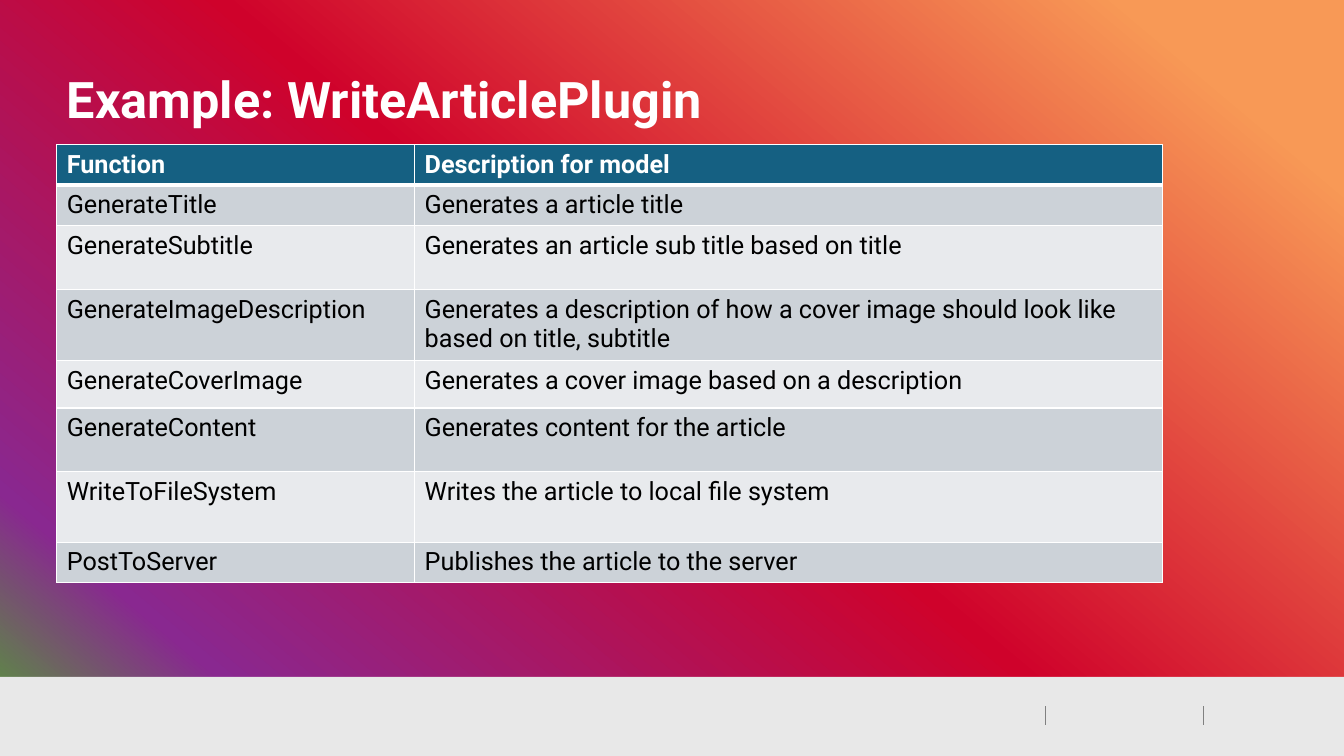
from copy import deepcopy

from lxml.etree import SubElement
from pptx import Presentation
from pptx.dml.color import RGBColor
from pptx.enum.shapes import MSO_CONNECTOR, MSO_SHAPE
from pptx.enum.text import MSO_ANCHOR, MSO_AUTO_SIZE, PP_ALIGN
from pptx.oxml.ns import qn
from pptx.util import Cm, Pt

WHITE = RGBColor(0xFF, 0xFF, 0xFF)
BLACK = RGBColor(0x00, 0x00, 0x00)
HEADER = RGBColor(0x15, 0x60, 0x82)
BAND_DARK = RGBColor(0xCC, 0xD2, 0xD8)
BAND_LIGHT = RGBColor(0xE8, 0xEA, 0xED)
FOOTER = RGBColor(0xE8, 0xE8, 0xE8)
DIVIDER = RGBColor(0x80, 0x80, 0x80)
GRADIENT = [
    (0, RGBColor(0x4E, 0xA7, 0x2E)),
    (0.14, RGBColor(0x89, 0x28, 0x90)),
    (0.5, RGBColor(0xCF, 0x02, 0x2B)),
    (0.9, RGBColor(0xF8, 0x99, 0x56)),
]
FONT = "Roboto"

FUNCTIONS = [
    ("Function", "Description for model", 1.02),
    ("GenerateTitle", "Generates a article title", 1.02),
    ("GenerateSubtitle", "Generates an article sub title based on title", 1.61),
    ("GenerateImageDescription",
     "Generates a description of how a cover image should look like "
     "based on title, subtitle", 1.79),
    ("GenerateCoverImage", "Generates a cover image based on a description", 1.19),
    ("GenerateContent", "Generates content for the article", 1.61),
    ("WriteToFileSystem", "Writes the article to local file system", 1.77),
    ("PostToServer", "Publishes the article to the server", 1.02),
]


def write(tf, text, size=18, color=BLACK, bold=False):
    """Put one formatted, left-aligned line of text in a frame."""
    p = tf.paragraphs[0]
    p.alignment = PP_ALIGN.LEFT
    r = p.add_run()
    r.text = text
    r.font.name = FONT
    r.font.size = Pt(size)
    r.font.bold = bold
    r.font.color.rgb = color


def set_background(s):
    """Fill the slide with the diagonal four-colour gradient."""
    fill = s.background.fill
    fill.gradient()
    fill.gradient_angle = 50
    stops = next(s.element.iter(qn("a:gsLst")))
    while len(stops) < len(GRADIENT):
        stops.append(deepcopy(stops[0]))
    for stop, (position, color) in zip(fill.gradient_stops, GRADIENT):
        stop.position = position
        stop.color.rgb = color


def add_footer(s, left, top, width, height):
    """Draw the footer band with its two dividers."""
    sp = s.shapes.add_shape(MSO_SHAPE.RECTANGLE, left, top, width, height)
    sp.shadow.inherit = False
    sp.fill.solid()
    sp.fill.fore_color.rgb = FOOTER
    sp.line.fill.background()
    for offset in (26.34, 30.33):
        x = left + Cm(offset)
        line = s.shapes.add_connector(
            MSO_CONNECTOR.STRAIGHT, x, top + Cm(0.74), x, top + Cm(1.22))
        line.line.color.rgb = DIVIDER
        line.line.width = Pt(1)
        SubElement(line.element.spPr, qn("a:effectLst"))


def set_title(s, text, left, top, width, height):
    """Move and format the title placeholder."""
    sp = s.shapes.title
    sp.left, sp.top, sp.width, sp.height = left, top, width, height
    tf = sp.text_frame
    tf.word_wrap = False
    tf.auto_size = MSO_AUTO_SIZE.NONE
    tf.vertical_anchor = MSO_ANCHOR.TOP
    tf.margin_top = Cm(0.22)
    write(tf, text, size=36, color=WHITE, bold=True)


def set_borders(cell, **widths):
    """Give a cell white borders, with a width in points for each side."""
    tcPr = cell._tc.get_or_add_tcPr()
    for i, (side, width) in enumerate(widths.items()):
        ln = tcPr.makeelement(qn(f"a:ln{side}"), {"w": str(Pt(width))})
        fill = SubElement(ln, qn("a:solidFill"))
        SubElement(fill, qn("a:srgbClr"), val=str(WHITE))
        tcPr.insert(i, ln)


def add_function_table(s, left, top, col_widths):
    """Add the banded table of plugin functions."""
    height = Cm(sum(row[-1] for row in FUNCTIONS))
    table = s.shapes.add_table(
        len(FUNCTIONS), len(col_widths), left, top, sum(col_widths), height).table
    for col, width in zip(table.columns, col_widths):
        col.width = width
    for i, (*texts, row_height) in enumerate(FUNCTIONS):
        table.rows[i].height = Cm(row_height)
        is_header = i == 0
        band = HEADER if is_header else (BAND_LIGHT, BAND_DARK)[i % 2]
        for j, text in enumerate(texts):
            cell = table.cell(i, j)
            cell.fill.solid()
            cell.fill.fore_color.rgb = band
            write(cell.text_frame, text,
                  color=WHITE if is_header else BLACK, bold=is_header)
            set_borders(cell, L=1, R=1, T=3 if i == 1 else 1,
                        B=3 if is_header else 1)


def main():
    """Build the slide and save it."""
    prs = Presentation()
    prs.slide_width, prs.slide_height = Cm(33.87), Cm(19.05)
    s = prs.slides.add_slide(prs.slide_layouts[5])
    set_background(s)
    footer_top = Cm(17.06)
    add_footer(s, 0, footer_top, prs.slide_width, prs.slide_height - footer_top)
    left = Cm(1.43)
    set_title(s, "Example: WriteArticlePlugin", left, Cm(1.5), Cm(16.89), Cm(3.33))
    add_function_table(s, left, Cm(3.65), (Cm(9.02), Cm(18.85)))
    prs.save("out.pptx")


if __name__ == "__main__":
    main()
